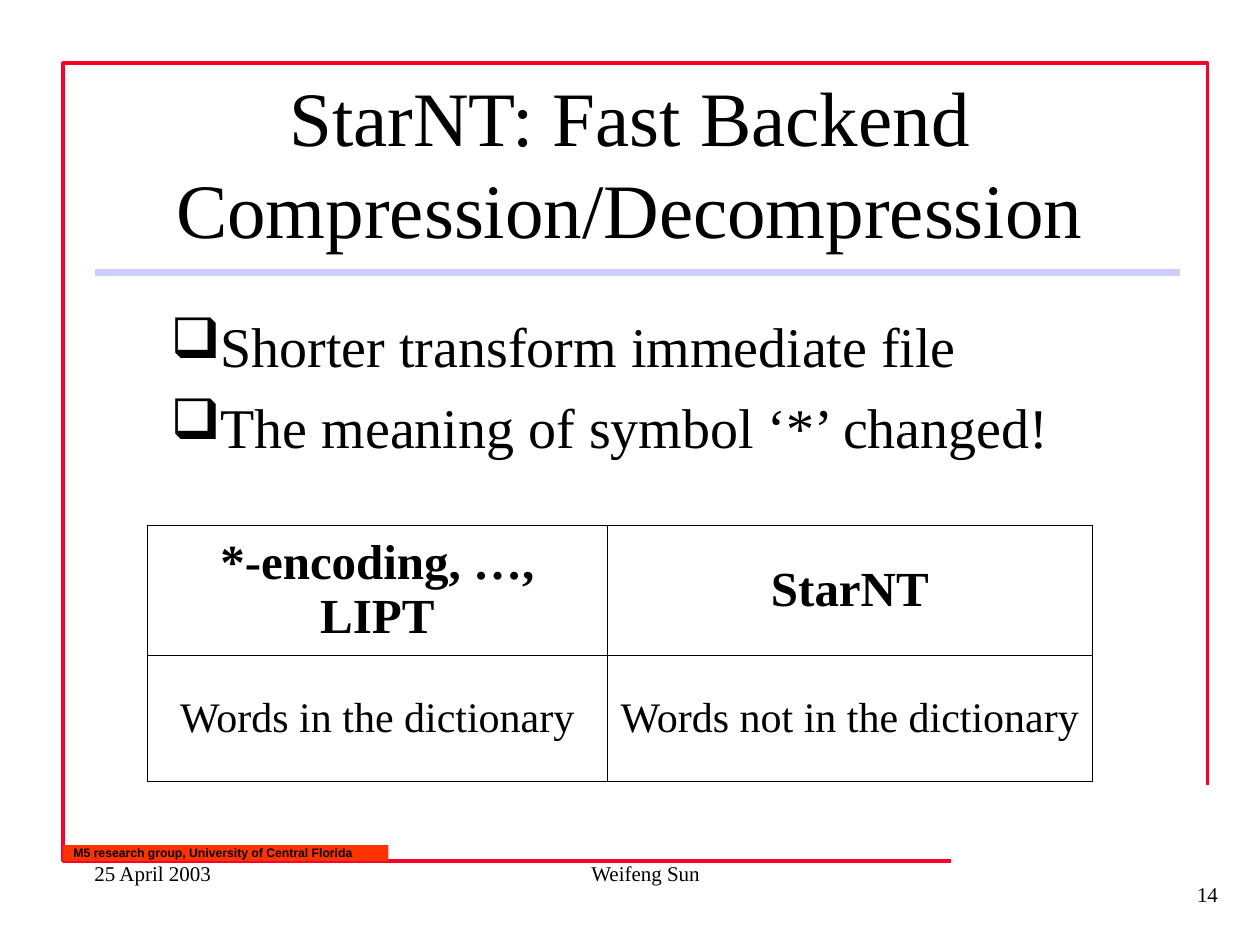
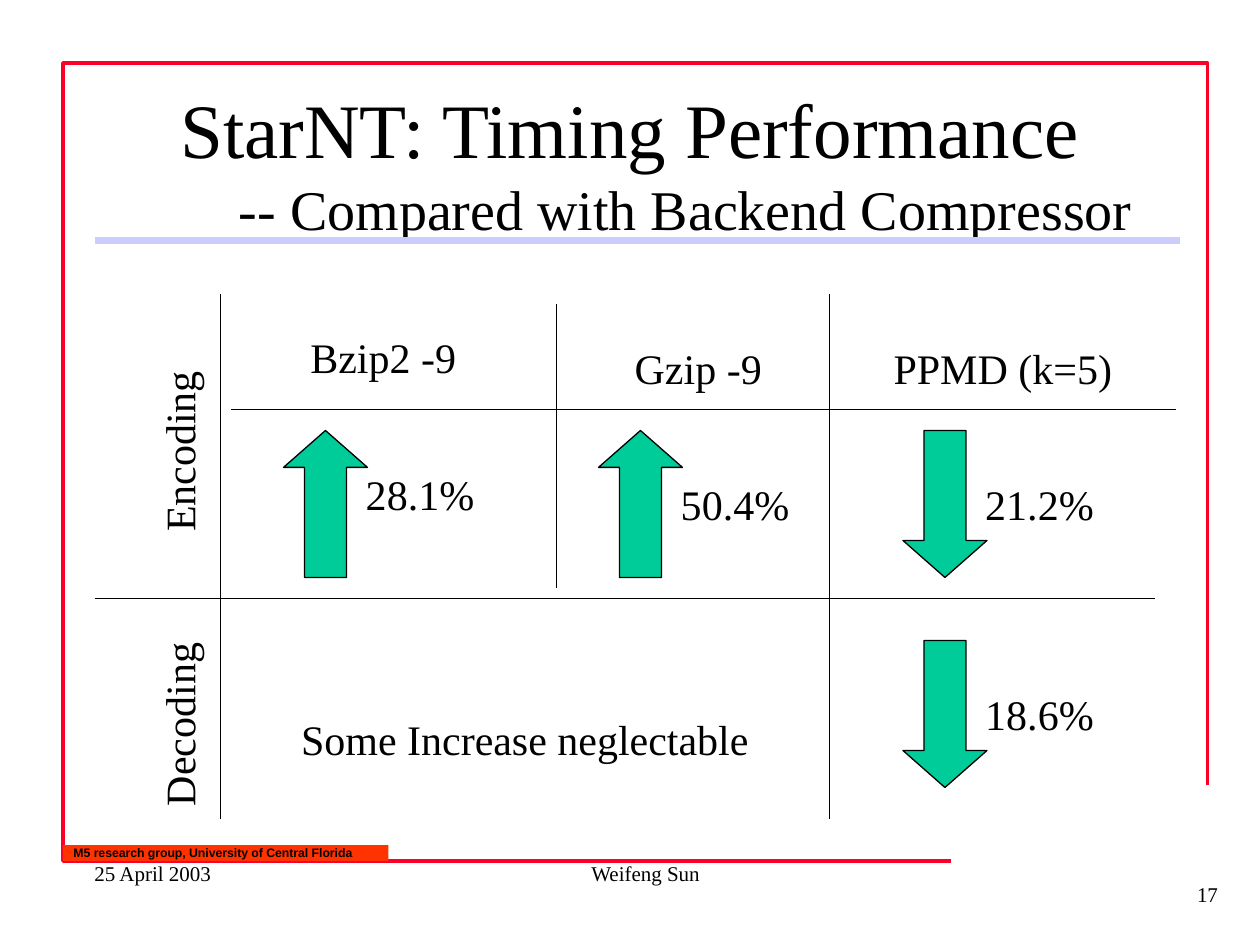
from lxml import etree
from pptx import Presentation
from pptx import util as u
from pptx.dml.color import RGBColor
from pptx.enum import shapes as es, text as et
from pptx.oxml import ns

PX = 9525  # EMU per px, 96 px to the inch
HUES = {"ink": "000000", "frame": "FC0128", "band": "FF3300",
        "rule": "CCCCFF", "arrow": "00CC99"}
SERIF, SANS = "Times New Roman", "Arial"
LEFT, MID = et.PP_ALIGN.LEFT, et.PP_ALIGN.CENTER
UP, DOWN = es.MSO_SHAPE.UP_ARROW, es.MSO_SHAPE.DOWN_ARROW


def hue(name):
    return RGBColor.from_string(HUES[name])


def sub(node, tag, **attrs):
    return etree.SubElement(node, ns.qn(tag), attrs)


class Deck:
    def __init__(self):
        self.prs = Presentation()
        self.prs.slide_width, self.prs.slide_height = 960 * PX, 720 * PX

    def page(self, title, rule, num):
        """Start a slide with the shared frame, title, rule and footer."""
        self.slide = self.prs.slides.add_slide(self.prs.slide_layouts[6])
        self.shapes = self.slide.shapes
        self.frame((920, 598), (920, 48), (48, 48), (48, 656), (725, 656))
        head = self.text(72, 63, 816, 120, title, 44, pad=(10, 5))
        self.line(72, rule, 899, rule, "rule", 4)
        band = self.shape(es.MSO_SHAPE.RECTANGLE, 48, 644, 248, 12, "band")
        self.fill(band.text_frame, ["M5 research group, University of Central Florida"],
                  7, LEFT, (8, 0), SANS, True)
        self.text(72, 656, 136, 19, ["25 April 2003"], 12, LEFT)
        self.text(352, 656, 280, 19, ["Weifeng Sun"], 12)
        self.text(904, 672, 32, 19, [num], 12)
        return head

    def font(self, par, size, face=SERIF, bold=False):
        par.font.size, par.font.name, par.font.bold = u.Pt(size), face, bold
        par.font.color.rgb = hue("ink")

    def fill(self, frame, lines, size, align=MID, pad=(0, 0), face=SERIF, bold=False):
        frame.word_wrap = True
        frame.vertical_anchor = et.MSO_ANCHOR.MIDDLE
        frame.margin_left = frame.margin_right = pad[0] * PX
        frame.margin_top = frame.margin_bottom = pad[1] * PX
        frame.text = "\n".join(lines)
        for par in frame.paragraphs:
            par.alignment = align
            self.font(par, size, face, bold)

    def text(self, x, y, w, h, lines, size=24, align=MID, pad=(0, 0), turn=0):
        box = self.shapes.add_textbox(x * PX, y * PX, w * PX, h * PX)
        self.fill(box.text_frame, lines, size, align, pad)
        box.rotation = turn
        return box.text_frame

    def bullets(self, x, y, w, h, lines):
        frame = self.text(x, y, w, h, lines, 32, LEFT, (10, 5))
        frame.vertical_anchor = et.MSO_ANCHOR.TOP
        for par in frame.paragraphs:
            par.level, par.space_before = 1, u.Pt(8)
            self.indent(par, 78, -30)
            sub(par._p.get_or_add_pPr(), "a:buChar", char="❑")

    def indent(self, par, left, first=0):
        props = par._p.get_or_add_pPr()
        props.set("marL", str(left * PX))
        props.set("indent", str(first * PX))
        # default run properties must follow any bullet
        for node in props.findall(ns.qn("a:defRPr")):
            props.remove(node)
            for run in par.runs:
                old = run._r.get_or_add_rPr()
                old.attrib.update(node.attrib)
                old.extend(list(node))

    def shape(self, kind, x, y, w, h, tint):
        item = self.shapes.add_shape(kind, x * PX, y * PX, w * PX, h * PX)
        item.shadow.inherit = False
        item.fill.solid()
        item.fill.fore_color.rgb = hue(tint)
        item.line.fill.background()
        return item

    def arrow(self, kind, x, y):
        item = self.shape(kind, x, y, 64, 112, "arrow")
        item.adjustments[0], item.adjustments[1] = 0.5, 0.44
        item.line.color.rgb, item.line.width = hue("ink"), u.Pt(0.75)

    def line(self, x1, y1, x2, y2, tint="ink", width=0.75):
        item = self.shapes.add_connector(
            es.MSO_CONNECTOR.STRAIGHT, x1 * PX, y1 * PX, x2 * PX, y2 * PX)
        item.line.color.rgb, item.line.width = hue(tint), u.Pt(width)
        sub(item._element.spPr, "a:effectLst")

    def frame(self, start, *rest):
        path = self.shapes.build_freeform(*start, scale=PX)
        path.add_line_segments(rest, close=False)
        item = path.convert_to_shape()
        item.shadow.inherit = False
        item.fill.background()
        item.line.color.rgb, item.line.width = hue("frame"), u.Pt(2)

    def table(self, x, y, cols, rows, data, sizes):
        grid = self.shapes.add_table(len(rows), len(cols), x * PX, y * PX,
                                     sum(cols) * PX, sum(rows) * PX).table
        grid.first_row = grid.horz_banding = False
        for col, w in zip(grid.columns, cols):
            col.width = w * PX
        for r, (row, h) in enumerate(zip(grid.rows, rows)):
            row.height = h * PX
            for cell, words in zip(row.cells, data[r]):
                cell.text = words
                cell.vertical_anchor = et.MSO_ANCHOR.MIDDLE
                par = cell.text_frame.paragraphs[0]
                par.alignment = MID
                self.font(par, sizes[r], bold=r == 0)
                self.border(cell)

    def border(self, cell):
        props = cell._tc.get_or_add_tcPr()
        for side in "LRTB":
            edge = sub(props, f"a:ln{side}", w=str(u.Pt(0.45)))
            sub(sub(edge, "a:solidFill"), "a:srgbClr", val=HUES["ink"])
        cell.fill.background()


def main():
    deck = Deck()

    # Slide 1: points and meaning table
    deck.page(["StarNT: Fast Backend Compression/Decompression"], 208, "14")
    deck.bullets(72, 232, 816, 408, ["Shorter transform immediate file",
                                     "The meaning of symbol ‘*’ changed!"])
    deck.table(112, 400, (351, 369), (99, 96),
               [("*-encoding, …, LIPT", "StarNT"),
                ("Words in the dictionary", "Words not in the dictionary")], (28, 24))

    # Slide 2: timing grid
    head = deck.page(["StarNT: Timing Performance",
                      "-- Compared with Backend Compressor"], 183, "17")
    note = head.paragraphs[1]
    deck.font(note, 32)
    deck.indent(note, 85)
    for ends in ((72, 456, 880, 456), (176, 312, 896, 312), (168, 224, 168, 624),
                 (632, 224, 632, 624), (424, 232, 424, 448)):
        deck.line(*ends)

    # Row names, read upwards
    for name, mid in (("Encoding", 344), ("Decoding", 552)):
        deck.text(48, mid - 19, 176, 38, [name], turn=270)

    # Column names
    for name, x, y in (("Bzip2 -9", 208, 256), ("Gzip -9", 448, 264),
                       ("PPMD (k=5)", 680, 264)):
        deck.text(x, y, 168, 32, [name])

    # Changes: arrow, and value to its right
    for kind, x, y, drop, value in ((UP, 216, 328, 24, "28.1%"), (UP, 456, 328, 32, "50.4%"),
                                    (DOWN, 688, 328, 32, "21.2%"),
                                    (DOWN, 688, 488, 32, "18.6%")):
        deck.arrow(kind, x, y)
        deck.text(x + 56, y + drop, 96, 48, [value])
    deck.text(208, 544, 384, 38, ["Some Increase neglectable"])

    deck.prs.save("out.pptx")


if __name__ == "__main__":
    main()
